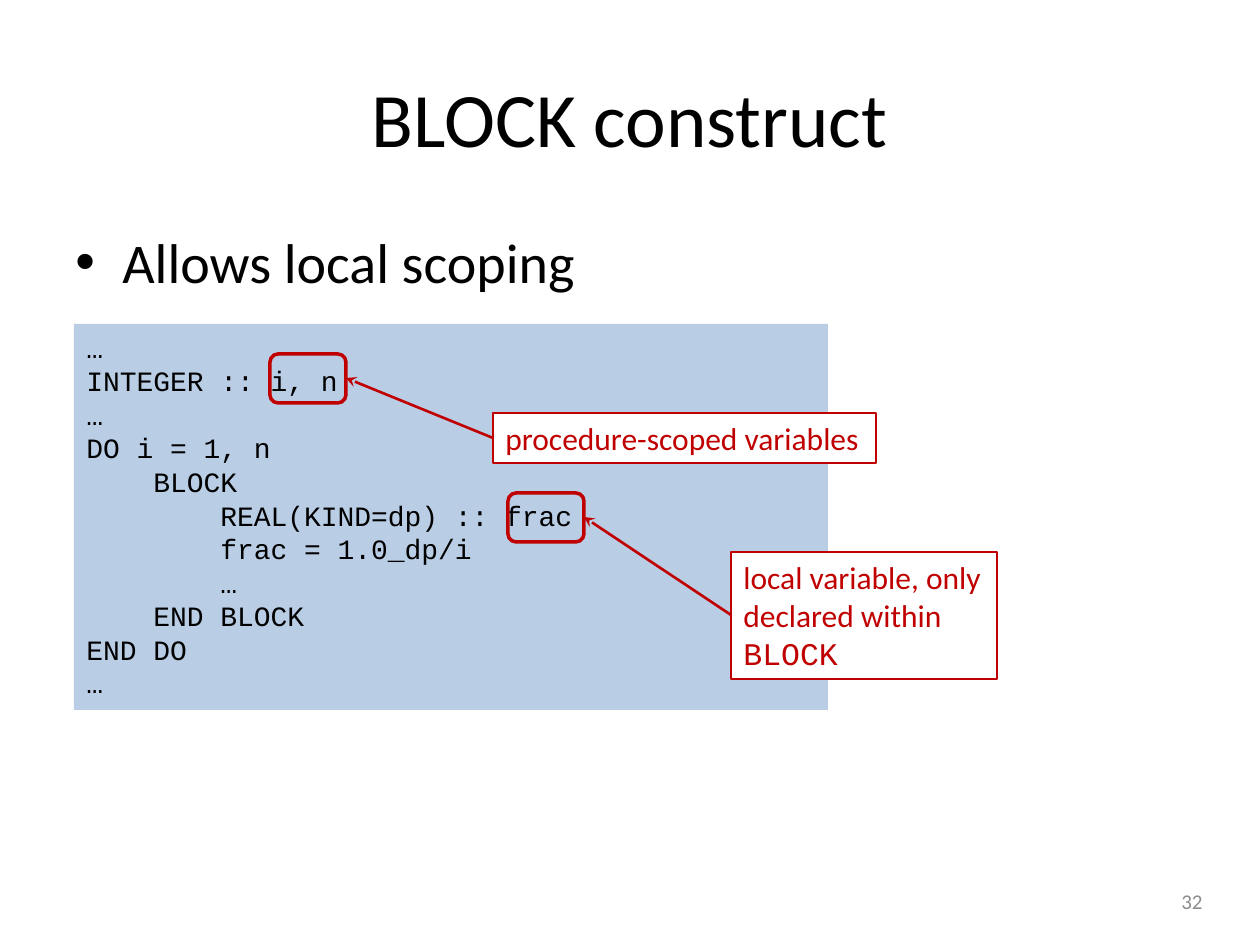
from lxml import etree
from pptx import Presentation, util as u
from pptx.dml.color import RGBColor
from pptx.enum import shapes, text
from pptx.oxml.ns import qn

PX = 914400 / 126
RED = "C00000"


def px(*lengths):
    return [u.Emu(round(length * PX)) for length in lengths]


def format_font(paragraph, name, size, color):
    paragraph.font.name = name
    paragraph.font.size = u.Pt(size)
    paragraph.font.color.rgb = RGBColor.from_string(color)


presentation = Presentation()
presentation.slide_width, presentation.slide_height = px(1260, 945)
slide = presentation.slides.add_slide(presentation.slide_layouts[5])

# Title
title = slide.shapes.title
title.left, title.top, title.width, title.height = px(63, 38, 1134, 157)
title.text_frame.text = "BLOCK construct"
title.text_frame.vertical_anchor = text.MSO_ANCHOR.MIDDLE
paragraph = title.text_frame.paragraphs[0]
paragraph.alignment = text.PP_ALIGN.CENTER
format_font(paragraph, "Calibri", 44, "000000")

# Bullet
body = slide.shapes.add_textbox(*px(63, 221, 1134, 90))
body.text_frame.word_wrap = True
paragraph = body.text_frame.paragraphs[0]
paragraph.text = "Allows local scoping"
properties = paragraph._p.get_or_add_pPr()
indent = px(47)[0]
properties.set("marL", str(indent))
properties.set("indent", str(-indent))
etree.SubElement(properties, qn("a:buFont")).set("typeface", "Arial")
etree.SubElement(properties, qn("a:buChar")).set("char", "•")
format_font(paragraph, "Calibri", 32, "000000")

# Slide number
number = slide.shapes.add_textbox(*px(921, 876, 294, 50))
number.text_frame.word_wrap = True
number.text_frame.vertical_anchor = text.MSO_ANCHOR.MIDDLE
paragraph = number.text_frame.paragraphs[0]
paragraph.text = "32"
paragraph.alignment = text.PP_ALIGN.RIGHT
format_font(paragraph, "Calibri", 12, "8C8C8C")

# Code listing
code = """…
INTEGER :: i, n
…
DO i = 1, n
    BLOCK
        REAL(KIND=dp) :: frac
        frac = 1.0_dp/i
        …
    END BLOCK
END DO
…"""
listing = slide.shapes.add_textbox(*px(74, 324, 754, 386))
listing.fill.solid()
listing.fill.fore_color.rgb = RGBColor.from_string("B9CDE5")
listing.text_frame.word_wrap = True
listing.text_frame.text = code
for paragraph in listing.text_frame.paragraphs:
    format_font(paragraph, "Courier New", 16, "000000")

# Callouts: marker position, note box, arrow start and end, note lines with fonts
callouts = [
    ((270, 354), (493, 413, 383, 50), (493, 438, 346, 378),
     [("procedure-scoped variables", "Calibri")]),
    ((508, 493), (731, 552, 266, 127), (731, 615, 584, 517),
     [("local variable, only\vdeclared within", "Calibri"),
      ("BLOCK", "Courier New")]),
]
for marker_at, note_box, arrow_ends, lines in callouts:
    marker = slide.shapes.add_shape(
        shapes.MSO_SHAPE.ROUNDED_RECTANGLE, *px(*marker_at, 76, 49))
    marker.shadow.inherit = False
    marker.fill.background()
    marker.line.color.rgb = RGBColor.from_string(RED)
    marker.line.width = u.Pt(2)

    note = slide.shapes.add_textbox(*px(*note_box))
    note.fill.solid()
    note.fill.fore_color.rgb = RGBColor.from_string("FFFFFF")
    note.line.color.rgb = RGBColor.from_string(RED)
    note.line.width = u.Pt(0.75)
    note.text_frame.word_wrap = False
    for index, (line, font) in enumerate(lines):
        frame = note.text_frame
        paragraph = frame.add_paragraph() if index else frame.paragraphs[0]
        paragraph.text = line
        format_font(paragraph, font, 18, RED)

    arrow = slide.shapes.add_connector(
        shapes.MSO_CONNECTOR.STRAIGHT, *px(*arrow_ends))
    arrow.line.color.rgb = RGBColor.from_string(RED)
    arrow.line.width = u.Pt(1.5)
    arrow_properties = arrow._element.spPr
    outline = arrow_properties.find(qn("a:ln"))
    etree.SubElement(outline, qn("a:tailEnd")).set("type", "stealth")
    etree.SubElement(arrow_properties, qn("a:effectLst"))

presentation.save("out.pptx")
